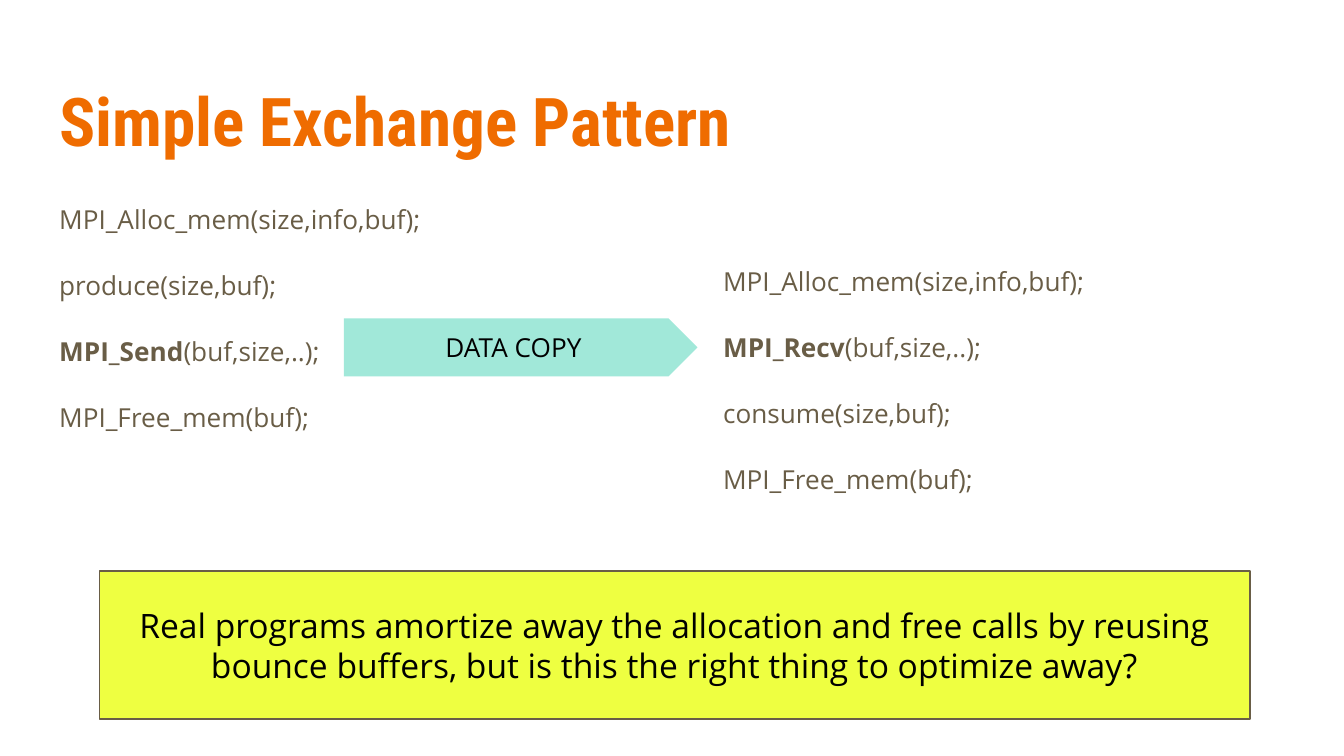
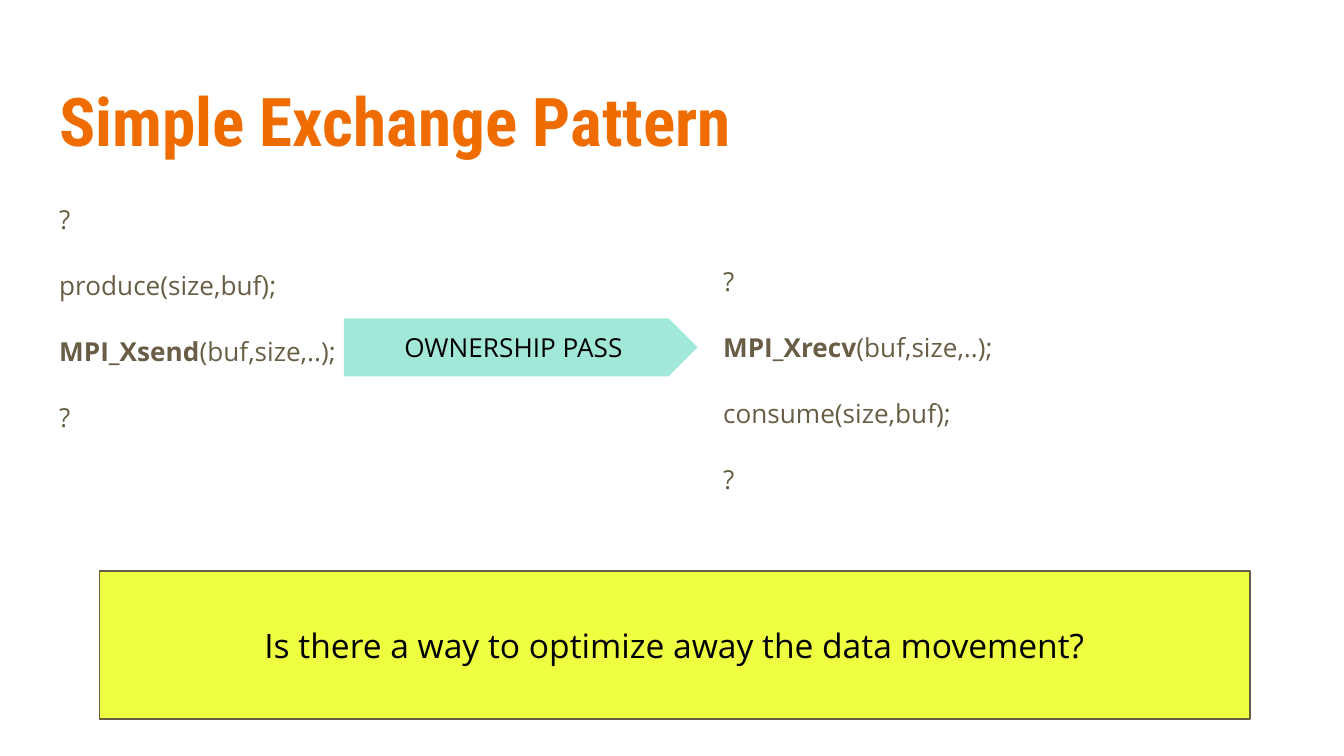
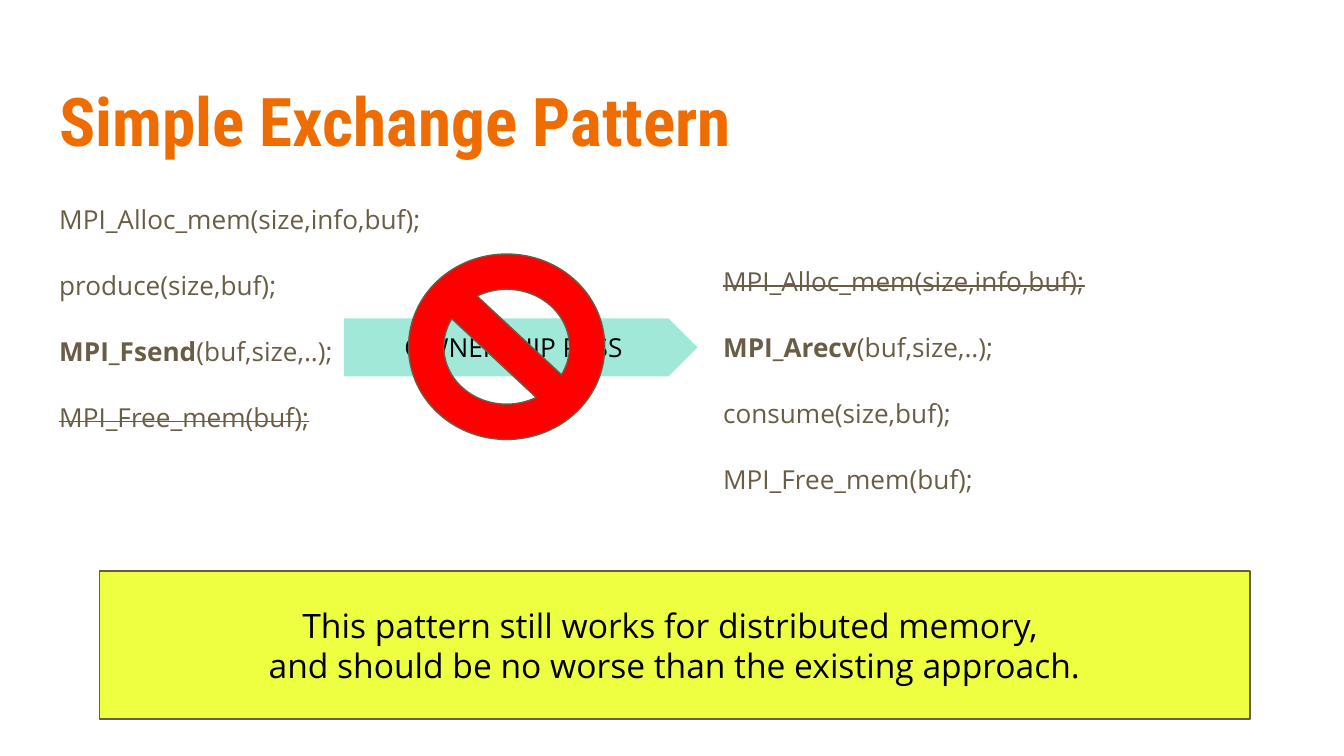
from dataclasses import dataclass
from typing import NamedTuple

from lxml.etree import SubElement
from pptx import Presentation
from pptx.dml.color import RGBColor
from pptx.enum.shapes import MSO_SHAPE
from pptx.enum.text import MSO_ANCHOR as Anchor, MSO_AUTO_SIZE as AutoSize, PP_ALIGN as Align
from pptx.oxml.ns import qn
from pptx.util import Inches, Pt

COLORS = {
    "title": "EF6C00",
    "code": "695D46",
    "question": "EEFF41",
    "transfer": "A1E8D9",
    "forbidden": "FF0000",
    "label": "000000",
}
HEADING_FONT, TEXT_FONT = "Roboto Condensed", "Open Sans"
TITLE = "Simple Exchange Pattern"
TWO_CONTENT = 3


class Box(NamedTuple):
    left: float
    top: float
    width: float
    height: float

    def lengths(self):
        return [Inches(value) for value in self]


class Style(NamedTuple):
    size: float
    color: str
    font: str = TEXT_FONT
    bold: bool = False


class Piece(NamedTuple):
    text: str
    bold: bool = False
    strike: bool = False


Line = list[Piece]

TITLE_BOX = Box(0.34, 0.49, 9.32, 0.77)
SENDER_BOX = Box(0.34, 1.38, 4.37, 3.61)
RECEIVER_BOX = Box(5.28, 1.84, 4.37, 3.15)
QUESTION_BOX = Box(0.74, 4.25, 8.56, 1.1)
TRANSFER_BOX = Box(2.56, 2.37, 2.63, 0.43)
FORBIDDEN_BOX = Box(3.04, 1.89, 1.46, 1.38)

TITLE_STYLE = Style(36, "title", HEADING_FONT, True)
CODE_STYLE = Style(14, "code")
TRANSFER_STYLE = Style(14, "label")
QUESTION_STYLE = Style(18, "label")


@dataclass
class Exchange:
    sender: list[Line]
    receiver: list[Line]
    transfer: str
    question: list[str]
    forbidden: bool = False


def plain(text: str) -> Line:
    return [Piece(text)]


def struck(text: str) -> Line:
    return [Piece(text, strike=True)]


def mpi_call(name: str) -> Line:
    return [Piece(name, bold=True), Piece("(buf,size,..);")]


ALLOC, FREE = "MPI_Alloc_mem(size,info,buf);", "MPI_Free_mem(buf);"
PRODUCE, CONSUME = plain("produce(size,buf);"), plain("consume(size,buf);")
UNKNOWN = plain("?")

EXCHANGES = [
    Exchange(
        sender=[plain(ALLOC), PRODUCE, mpi_call("MPI_Send"), plain(FREE)],
        receiver=[plain(ALLOC), mpi_call("MPI_Recv"), CONSUME, plain(FREE)],
        transfer="DATA COPY",
        question=["Real programs amortize away the allocation and free calls by reusing "
                  "bounce buffers, but is this the right thing to optimize away?"],
    ),
    Exchange(
        sender=[UNKNOWN, PRODUCE, mpi_call("MPI_Xsend"), UNKNOWN],
        receiver=[UNKNOWN, mpi_call("MPI_Xrecv"), CONSUME, UNKNOWN],
        transfer="OWNERSHIP PASS",
        question=["Is there a way to optimize away the data movement?"],
    ),
    Exchange(
        sender=[plain(ALLOC), PRODUCE, mpi_call("MPI_Fsend"), struck(FREE)],
        receiver=[struck(ALLOC), mpi_call("MPI_Arecv"), CONSUME, plain(FREE)],
        transfer="OWNERSHIP PASS",
        question=["This pattern still works for distributed memory, ",
                  "and should be no worse than the existing approach."],
        forbidden=True,
    ),
]


def rgb(name: str) -> RGBColor:
    return RGBColor.from_string(COLORS[name])


def write(shape, lines: list[Line], style: Style, align=Align.LEFT,
          anchor=Anchor.TOP, inset: float = 0.1) -> None:
    frame = shape.text_frame
    frame.word_wrap = True
    frame.auto_size = AutoSize.NONE
    frame.vertical_anchor = anchor
    frame.margin_left = frame.margin_right = Inches(inset)
    frame.margin_top = frame.margin_bottom = Inches(inset)
    for index, line in enumerate(lines):
        paragraph = frame.add_paragraph() if index else frame.paragraphs[0]
        paragraph.alignment = align
        for piece in line:
            run = paragraph.add_run()
            run.text = piece.text
            run.font.name = style.font
            run.font.size = Pt(style.size)
            run.font.color.rgb = rgb(style.color)
            run.font.bold = style.bold or piece.bold
            if piece.strike:
                run._r.get_or_add_rPr().set("strike", "sngStrike")


def place(placeholder, box: Box) -> None:
    (placeholder.left, placeholder.top,
     placeholder.width, placeholder.height) = box.lengths()


def write_code(placeholder, box: Box, lines: list[Line]) -> None:
    place(placeholder, box)
    write(placeholder, lines, CODE_STYLE)
    for paragraph in placeholder.text_frame.paragraphs:
        properties = paragraph._p.get_or_add_pPr()
        properties.set("marL", "0")
        properties.set("indent", "0")
        SubElement(properties, qn("a:buNone"))
        paragraph.line_spacing = 1.15
        paragraph.space_before = Pt(0)
        paragraph.space_after = Pt(16)


def add_filled(slide, kind: MSO_SHAPE, box: Box, fill: str, outlined: bool = True):
    shape = slide.shapes.add_shape(kind, *box.lengths())
    shape.shadow.inherit = False
    shape.fill.solid()
    shape.fill.fore_color.rgb = rgb(fill)
    if outlined:
        shape.line.color.rgb = rgb("code")
        shape.line.width = Pt(0.75)
    else:
        shape.line.fill.background()
    return shape


def add_exchange(deck, exchange: Exchange) -> None:
    slide = deck.slides.add_slide(deck.slide_layouts[TWO_CONTENT])
    title, sender, receiver = slide.placeholders
    place(title, TITLE_BOX)
    write(title, [plain(TITLE)], TITLE_STYLE)
    write_code(sender, SENDER_BOX, exchange.sender)
    write_code(receiver, RECEIVER_BOX, exchange.receiver)

    question = add_filled(slide, MSO_SHAPE.RECTANGLE, QUESTION_BOX, "question")
    write(question, [plain(text) for text in exchange.question], QUESTION_STYLE,
          Align.CENTER, Anchor.MIDDLE)

    transfer = add_filled(slide, MSO_SHAPE.PENTAGON, TRANSFER_BOX, "transfer", outlined=False)
    transfer.adjustments[0] = 0.5
    write(transfer, [plain(exchange.transfer)], TRANSFER_STYLE,
          Align.CENTER, Anchor.MIDDLE, inset=0.13)

    if exchange.forbidden:
        forbidden = add_filled(slide, MSO_SHAPE.NO_SYMBOL, FORBIDDEN_BOX, "forbidden")
        forbidden.adjustments[0] = 0.19


def main() -> None:
    deck = Presentation()
    deck.slide_width = Inches(10)
    deck.slide_height = deck.slide_width * 9 // 16
    for exchange in EXCHANGES:
        add_exchange(deck, exchange)
    deck.save("out.pptx")


if __name__ == "__main__":
    main()
